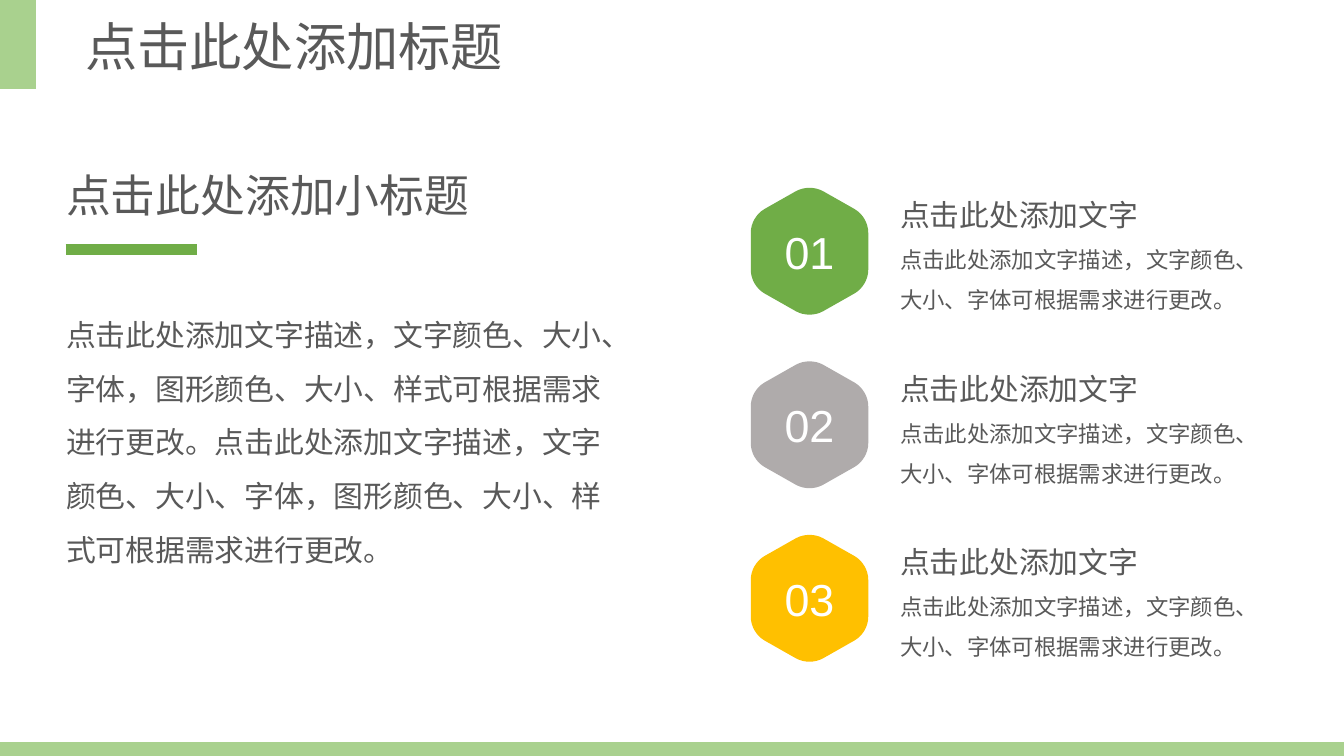
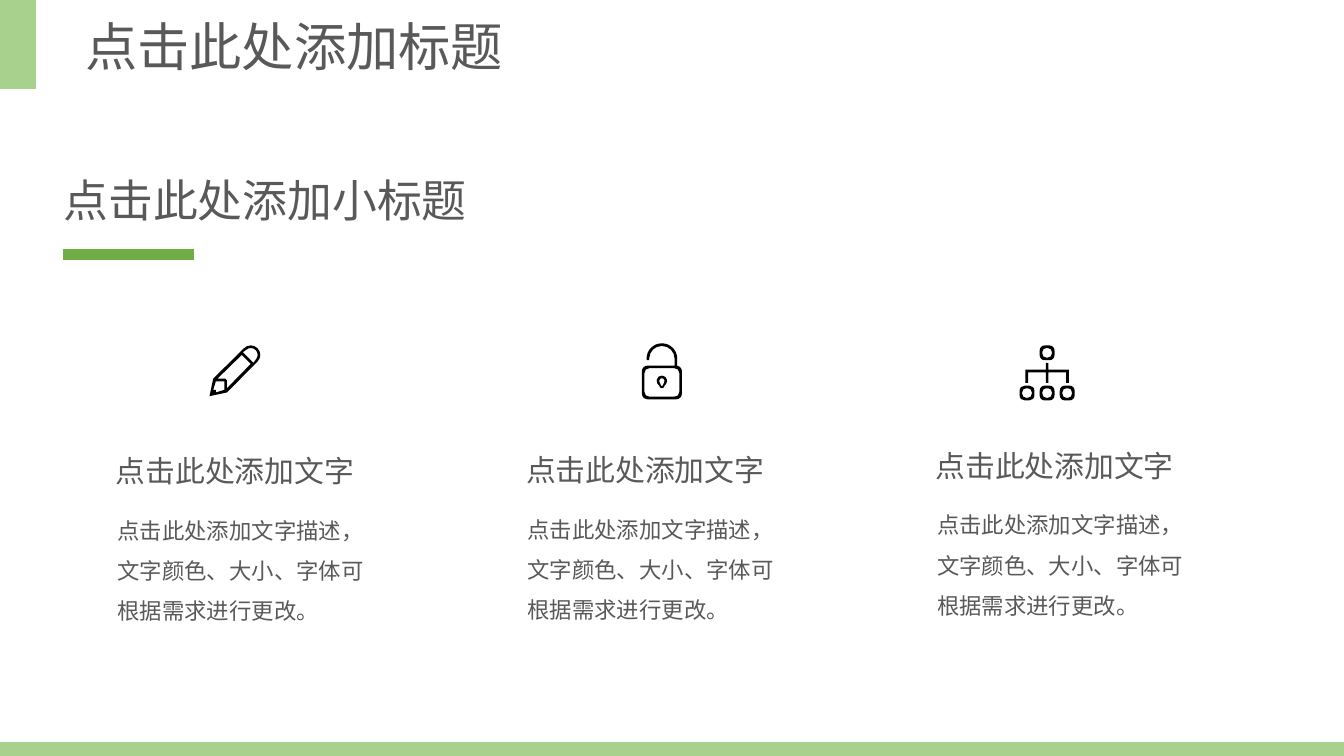
from math import ceil, cos, radians, sin, tan

from lxml.etree import SubElement
from pptx import Presentation
from pptx.dml.color import RGBColor
from pptx.enum.lang import MSO_LANGUAGE_ID as Language
from pptx.enum.shapes import MSO_CONNECTOR as Connector, MSO_SHAPE as Preset
from pptx.enum.text import MSO_ANCHOR as Anchor, MSO_AUTO_SIZE as AutoSize, PP_ALIGN as Align
from pptx.oxml.ns import qn
from pptx.util import Cm, Pt

PALE_GREEN = RGBColor(0xA9, 0xD1, 0x8E)
GREEN = RGBColor(0x70, 0xAD, 0x47)
GRAY = RGBColor(0xAF, 0xAB, 0xAB)
YELLOW = RGBColor(0xFF, 0xC0, 0x00)
TEXT = RGBColor(0x59, 0x59, 0x59)
WHITE = RGBColor(0xFF, 0xFF, 0xFF)
BLACK = RGBColor(0x00, 0x00, 0x00)

CJK_FONT = "Noto Sans CJK SC"
BODY_FONT = "Calibri"
LABEL_FONT = "Arial"

WIDTH, HEIGHT = 25.4, 14.29
BANDS = [(0, 0, 0.68, 1.68), (0, 14.03, WIDTH, 0.26)]

TITLE = "点击此处添加标题"
SUBTITLE = "点击此处添加小标题"
ITEM_HEADING = "点击此处添加文字"
ITEM_DETAIL = "点击此处添加文字描述，文字颜色、大小、字体可根据需求进行更改。"
OVERVIEW = (
    "点击此处添加文字描述，文字颜色、大小、字体，图形颜色、大小、样式可根据需求进行更改。"
    "点击此处添加文字描述，文字颜色、大小、字体，图形颜色、大小、样式可根据需求进行更改。"
)

STEPS = [("01", GREEN), ("02", GRAY), ("03", YELLOW)]
STEP_CENTER_X, STEP_FIRST_Y, STEP_GAP = 15.3, 4.75, 3.28
HEXAGON = [(0, -1.28), (1.11, -0.65), (1.11, 0.65), (0, 1.28), (-1.11, 0.65), (-1.11, -0.65)]
HEXAGON_CUT = 0.3
STROKE = 0.05


def toward(start, end, share):
    return tuple(a + (b - a) * share for a, b in zip(start, end))


def rounded(corners, cut):
    items = []
    for index, corner in enumerate(corners):
        ends = []
        for near in (corners[index - 1], corners[(index + 1) % len(corners)]):
            length = ((near[0] - corner[0]) ** 2 + (near[1] - corner[1]) ** 2) ** 0.5
            ends.append(toward(corner, near, cut / length))
        start, end = ends
        items += [start, (toward(start, corner, 0.6), toward(end, corner, 0.6), end)]
    return items


def box(x, y, half_width, half_height, cut):
    corners = [(x - half_width, y - half_height), (x + half_width, y - half_height),
               (x + half_width, y + half_height), (x - half_width, y + half_height)]
    return rounded(corners, cut)


def box_ring(x, y, half_width, half_height, cut):
    return [box(x, y, half_width, half_height, cut),
            box(x, y, half_width - STROKE, half_height - STROKE, cut - STROKE / 2)]


def arc(x, y, radius, start, end):
    count = ceil(abs(end - start) / 90)
    turn = radians(end - start) / count
    pull = 4 / 3 * tan(turn / 4)
    items = []
    for index in range(count):
        a = radians(start) + turn * index
        b = a + turn
        first = (x + radius * cos(a), y + radius * sin(a))
        last = (x + radius * cos(b), y + radius * sin(b))
        leave = (first[0] - radius * pull * sin(a), first[1] + radius * pull * cos(a))
        arrive = (last[0] + radius * pull * sin(b), last[1] - radius * pull * cos(b))
        items += [(leave, arrive, last)] if index else [first, (leave, arrive, last)]
    return items


def pencil():
    return [
        [(-0.48, 0.48), (-0.41, 0.15)] + arc(0.3, -0.3, 0.18, -135, 45) + [(-0.15, 0.41)],
        [(0.15, -0.35)] + arc(0.3, -0.3, 0.13, -135, 45) + [(0.35, -0.15)],
        [(-0.15, 0.33), (-0.15, 0.18), (-0.18, 0.15), (-0.33, 0.15), (0.13, -0.3), (0.3, -0.13)],
        [(-0.2, 0.36), (-0.36, 0.41), (-0.36, 0.36), (-0.41, 0.36), (-0.36, 0.2), (-0.2, 0.2)],
    ]


def open_lock():
    shackle = ([(-0.29, -0.2)] + arc(0, -0.23, 0.29, 180, 360) + [(0.29, -0.1), (0.24, -0.1)]
               + arc(0, -0.23, 0.24, 360, 180) + [(-0.24, -0.2)])
    keyhole = [arc(0, 0.19, 0.1, 150, 390) + arc(0, 0.28, 0.05, 0, 180),
               arc(0, 0.19, 0.05, 150, 390) + arc(0, 0.27, 0.02, 0, 180)]
    return [shackle, *box_ring(0, 0.22, 0.38, 0.32, 0.12), *keyhole]


def hierarchy():
    half = [(0.025, -0.19), (0.025, -0.06), (0.41, -0.06), (0.41, 0.19),
            (0.36, 0.19), (0.36, -0.01), (0.025, -0.01), (0.025, 0.19)]
    contours = [half + [(-x, y) for x, y in reversed(half)]]
    for x, y in [(0, -0.38), (-0.38, 0.38), (0, 0.38), (0.38, 0.38)]:
        contours += box_ring(x, y, 0.14, 0.14, 0.1)
    return contours


COLUMNS = [
    (0.95, 8.1, pencil, 4.44, 7.01),
    (8.7, 8.08, open_lock, 12.51, 7.01),
    (16.44, 8.0, hierarchy, 19.79, 7.05),
]


def paint(shape, color):
    shape.shadow.inherit = False
    shape.fill.solid()
    shape.fill.fore_color.rgb = color
    shape.line.fill.background()


def add_run(paragraph, text, size, font_name, color=TEXT):
    run = paragraph.add_run()
    run.text = text
    font = run.font
    font.size = Pt(size)
    font.name = font_name
    font.color.rgb = color
    font.language_id = Language.SIMPLIFIED_CHINESE
    SubElement(run._r.get_or_add_rPr(), qn("a:ea")).set("typeface", CJK_FONT)


def add_text(slide, bounds, lines, font_name=BODY_FONT, spacing=1.5, align=Align.LEFT):
    frame = slide.shapes.add_textbox(*map(Cm, bounds)).text_frame
    frame.word_wrap = True
    frame.auto_size = AutoSize.SHAPE_TO_FIT_TEXT
    for index, (text, size) in enumerate(lines):
        paragraph = frame.add_paragraph() if index else frame.paragraphs[0]
        paragraph.alignment = align
        paragraph.line_spacing = spacing
        add_run(paragraph, text, size, font_name)


def is_curve(item):
    return len(item) == 3


def bend(shape, contours):
    outline = shape._element.spPr.find(".//" + qn("a:path"))
    segments = iter(outline.findall(qn("a:lnTo")))
    for contour in contours:
        for item in contour[1:]:
            segment = next(segments)
            if is_curve(item):
                segment.tag = qn("a:cubicBezTo")
                for extra in (next(segments), next(segments)):
                    segment.append(extra[0])
                    outline.remove(extra)


def add_outline(slide, contours, x, y, color):
    builder = None
    for contour in contours:
        points = []
        for item in contour:
            points += item if is_curve(item) else [item]
        points = [(Cm(x + px), Cm(y + py)) for px, py in points]
        if builder is None:
            builder = slide.shapes.build_freeform(*points[0], scale=1.0)
        else:
            builder.move_to(*points[0])
        builder.add_line_segments(points[1:], close=True)
    shape = builder.convert_to_shape()
    bend(shape, contours)
    paint(shape, color)
    return shape


def add_bands(slide, layout):
    for index, bounds in enumerate(BANDS):
        band = slide.shapes.add_shape(Preset.RECTANGLE, *map(Cm, bounds))
        paint(band, PALE_GREEN)
        band._element.nvSpPr.cNvPr.set("id", str(101 + index))
        layout.shapes._spTree.insert(2 + index, band._element)


def add_title(slide):
    title = slide.shapes.title
    title.left, title.top, title.width, title.height = map(Cm, (1.36, 0.15, 11.96, 1.45))
    frame = title.text_frame
    frame.word_wrap = True
    frame.auto_size = AutoSize.SHAPE_TO_FIT_TEXT
    frame.vertical_anchor = Anchor.TOP
    paragraph = frame.paragraphs[0]
    paragraph.alignment = Align.LEFT
    add_run(paragraph, TITLE, 28, CJK_FONT)


def add_subtitle(slide, left, top):
    add_text(slide, (left, top, 8.36, 1.27), [(SUBTITLE, 24)], LABEL_FONT, 1.0)
    x, y = left + 0.24, top + 1.67
    rule = slide.shapes.add_connector(Connector.STRAIGHT, Cm(x), Cm(y), Cm(x + 2.48), Cm(y))
    rule.line.color.rgb = GREEN
    rule.line.width = Pt(6)
    SubElement(rule._element.spPr, qn("a:effectLst"))


def add_step(slide, index, number, color):
    y = STEP_FIRST_Y + index * STEP_GAP
    add_text(slide, (16.76, y - 1.49, 7.5, 2.74), [(ITEM_HEADING, 16), (ITEM_DETAIL, 12)])
    badge = add_outline(slide, [rounded(HEXAGON, HEXAGON_CUT)], STEP_CENTER_X, y, color)
    frame = badge.text_frame
    frame.margin_left = frame.margin_right = frame.margin_top = frame.margin_bottom = 0
    frame.vertical_anchor = Anchor.MIDDLE
    frame.paragraphs[0].alignment = Align.CENTER
    add_run(frame.paragraphs[0], number, 24, LABEL_FONT, WHITE)


def add_column(slide, left, top, icon, icon_x, icon_y):
    add_outline(slide, icon(), icon_x, icon_y, BLACK)
    add_text(slide, (left, top, 6.99, 1.17), [(ITEM_HEADING, 16)], align=Align.CENTER)
    add_text(slide, (left + 1.02, top + 1.29, 5.26, 2.57), [(ITEM_DETAIL, 12)])


def main():
    presentation = Presentation()
    presentation.slide_width, presentation.slide_height = Cm(WIDTH), Cm(HEIGHT)
    layout = presentation.slide_layouts[5]
    steps_slide, columns_slide = [presentation.slides.add_slide(layout) for _ in range(2)]
    add_bands(steps_slide, layout)

    add_title(steps_slide)
    for index, (number, color) in enumerate(STEPS):
        add_step(steps_slide, index, number, color)
    add_subtitle(steps_slide, 1.0, 3.05)
    add_text(steps_slide, (1.0, 5.52, 10.64, 5.38), [(OVERVIEW, 16)])

    add_title(columns_slide)
    add_subtitle(columns_slide, 0.95, 3.14)
    for column in COLUMNS:
        add_column(columns_slide, *column)

    presentation.save("out.pptx")


if __name__ == "__main__":
    main()
